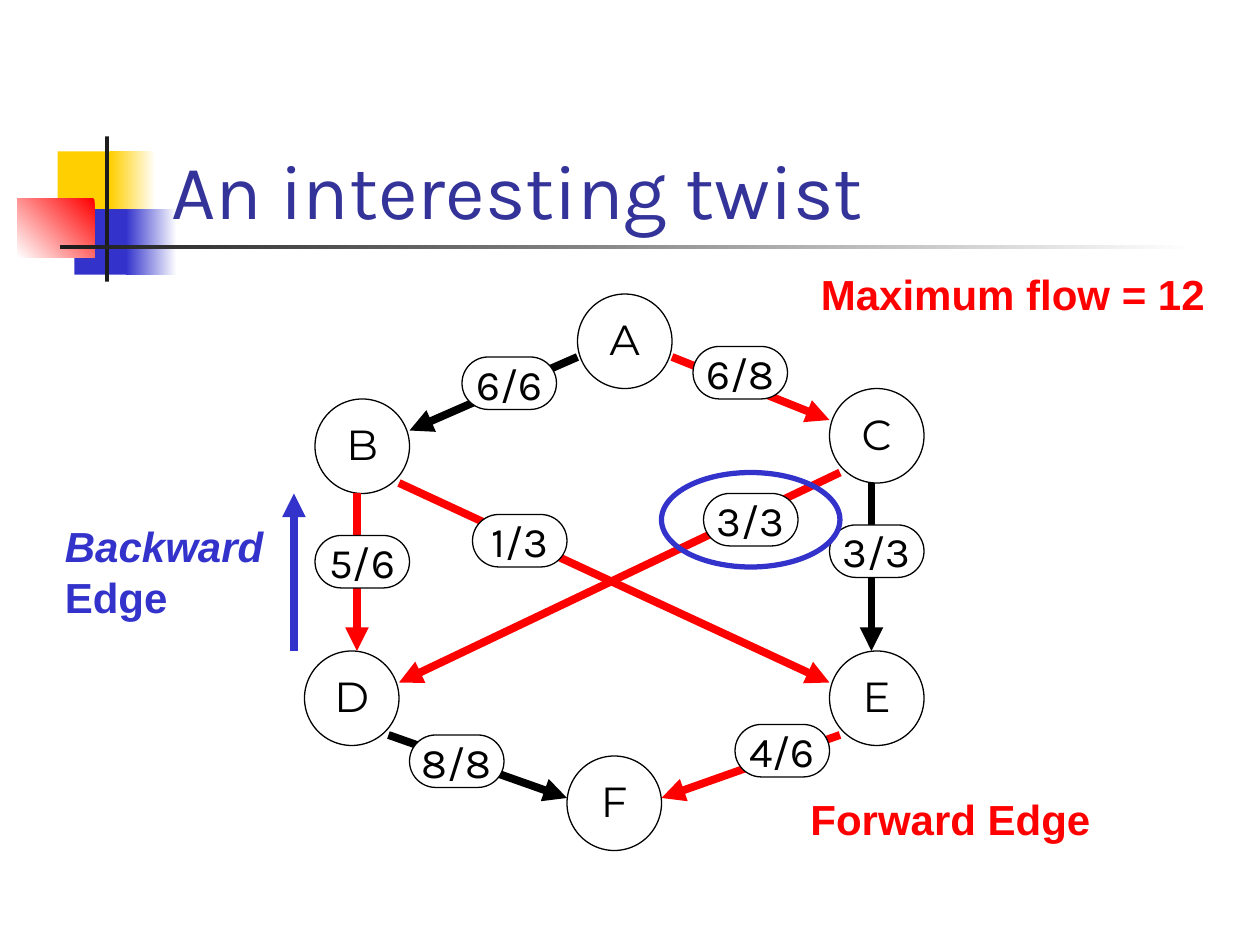
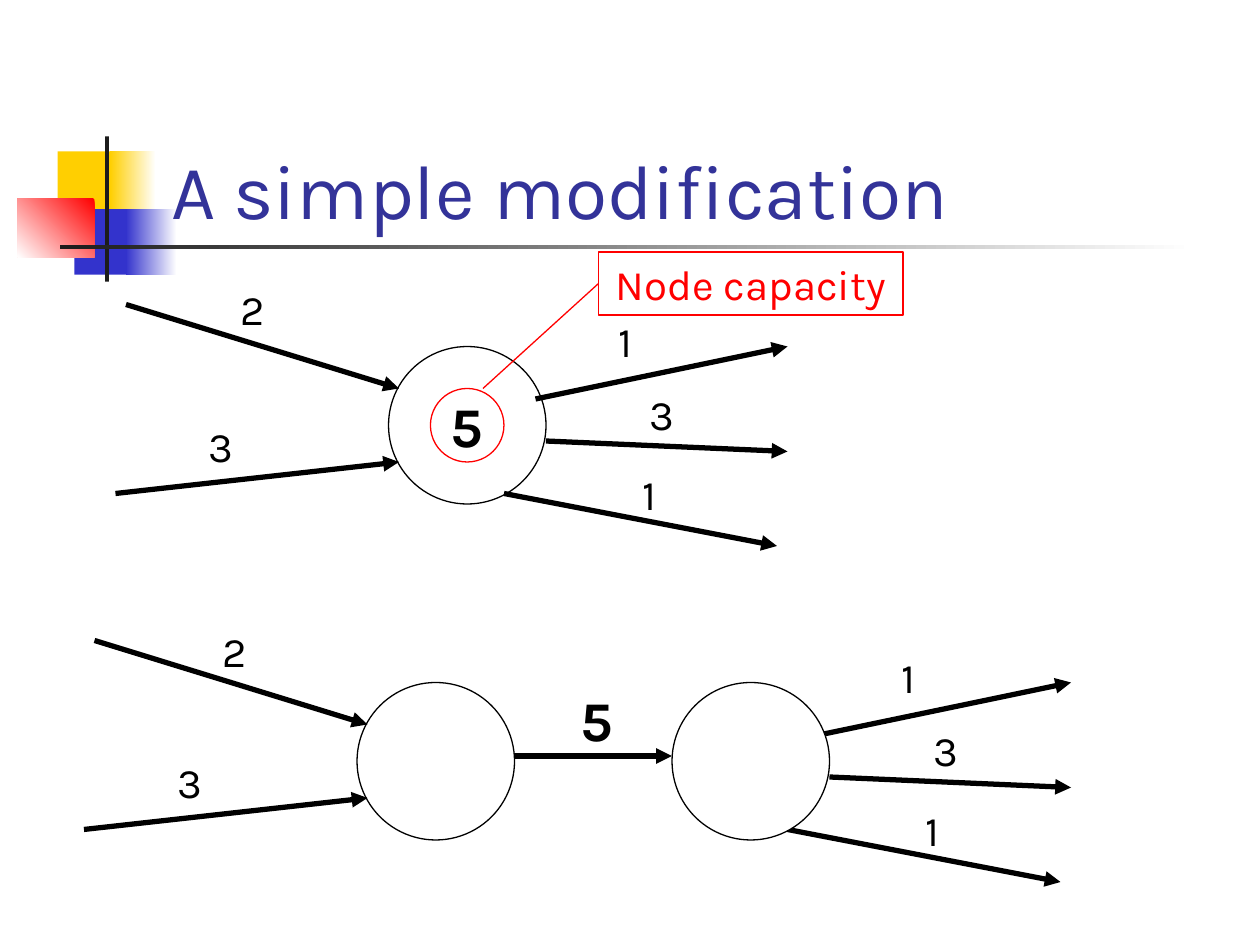
import lxml.etree
import pptx
import pptx.dml.color
import pptx.enum.shapes
import pptx.enum.text
import pptx.oxml.ns
import pptx.util

Pt = pptx.util.Pt
qn = pptx.oxml.ns.qn
SHAPE = pptx.enum.shapes.MSO_SHAPE
ANCHOR = pptx.enum.text.MSO_ANCHOR
ALIGN = pptx.enum.text.PP_ALIGN

COLORS = {
    "white": "FFFFFF", "black": "000000", "ink": "1C1C1C", "red": "FF0000",
    "blue": "3333CC", "yellow": "FFCF01", "title": "333399",
}
LABEL_FONT, NODE_FONT, NOTE_FONT = "Karla", "Montserrat", "Arial"
NODE, CIRCLE = 54, 90


def rgb(name):
    """Return the named palette colour."""
    return pptx.dml.color.RGBColor.from_string(COLORS[name])


def add_shape(s, kind, x, y, w, h, fill=None, line=None, weight=0.75):
    """Add a preset shape with an optional fill and outline."""
    sp = s.shapes.add_shape(kind, Pt(x), Pt(y), Pt(w), Pt(h))
    sp.shadow.inherit = False
    if fill:
        sp.fill.solid()
        sp.fill.fore_color.rgb = rgb(fill)
    else:
        sp.fill.background()
    if line:
        sp.line.color.rgb = rgb(line)
        sp.line.width = Pt(weight)
    else:
        sp.line.fill.background()
    return sp


def add_fade(s, x, y, w, h, start, end, angle=180):
    """Add a rectangle that fades from one colour to another."""
    sp = add_shape(s, SHAPE.RECTANGLE, x, y, w, h)
    sp.fill.gradient()
    sp.fill.gradient_angle = angle
    for stop, name in zip(sp.fill.gradient_stops, (start, end)):
        stop.color.rgb = rgb(name)


def style_run(r, size, color, font, bold=False, italic=False):
    """Set the font of a run."""
    r.font.name = font
    r.font.size = Pt(size)
    r.font.bold = bold
    r.font.italic = italic
    r.font.color.rgb = rgb(color)


def put_text(sp, text, size=24, color="black", font=LABEL_FONT, bold=False,
             align=ALIGN.CENTER, anchor=ANCHOR.MIDDLE, wrap=False):
    """Write one paragraph in a shape and return it."""
    tf = sp.text_frame
    tf.word_wrap = wrap
    tf.vertical_anchor = anchor
    p = tf.paragraphs[0]
    p.text = text
    p.alignment = align
    style_run(p.runs[0], size, color, font, bold)
    return p


def add_text(s, x, y, w, h, text, anchor=ANCHOR.TOP, **style):
    """Add a left-aligned text box and return its paragraph."""
    sp = s.shapes.add_textbox(Pt(x), Pt(y), Pt(w), Pt(h))
    return put_text(sp, text, align=ALIGN.LEFT, anchor=anchor, **style)


def add_line(s, x, y, ends, color="black", weight=3, arrow=True):
    """Add a straight line between two points given relative to x, y."""
    x1, y1, x2, y2 = ends
    sp = s.shapes.add_connector(pptx.enum.shapes.MSO_CONNECTOR.STRAIGHT,
                                Pt(x + x1), Pt(y + y1), Pt(x + x2), Pt(y + y2))
    sp.line.color.rgb = rgb(color)
    sp.line.width = Pt(weight)
    if arrow:
        lxml.etree.SubElement(sp.line._get_or_add_ln(), qn("a:tailEnd"), type="triangle")
    lxml.etree.SubElement(sp._element.spPr, qn("a:effectLst"))
    return sp


def add_header(s, x, y, title):
    """Draw the coloured blocks, the rules and the slide title."""
    add_shape(s, SHAPE.RECTANGLE, x + 23, y + 8.5, 34.5, 37.5, "yellow")
    add_fade(s, x + 53, y + 8.5, 26, 37.5, "white", "yellow")
    add_shape(s, SHAPE.RECTANGLE, x + 32.5, y + 41.5, 33, 37.5, "blue")
    add_fade(s, x + 62, y + 41.5, 29, 37.5, "white", "blue")
    add_fade(s, x, y + 35.5, 44, 33.5, "red", "white", 225)
    add_shape(s, SHAPE.RECTANGLE, x + 50, y, 2.25, 83, "ink")
    add_fade(s, x + 24.5, y + 62, 648, 2.5, "white", "ink")
    add_text(s, x + 80.7, y - 30, 613.5, 90, title, ANCHOR.BOTTOM,
             size=44, color="title", wrap=True)


def add_node(s, x, y, name):
    """Draw a graph node with its letter in outlined type."""
    sp = add_shape(s, SHAPE.OVAL, x, y, NODE, NODE, "white", "black")
    p = put_text(sp, name, font=NODE_FONT)
    p.line_spacing = 0.97
    ln = lxml.etree.Element(qn("a:ln"), w=str(Pt(0.75)))
    fill = lxml.etree.SubElement(ln, qn("a:solidFill"))
    lxml.etree.SubElement(fill, qn("a:srgbClr"), val=COLORS["black"])
    p.runs[0]._r.get_or_add_rPr().insert(0, ln)


def add_flow_graph(s, x, y):
    """Draw the flow network with its nodes, edges and flow labels."""
    nodes = {"F": (150, 264), "E": (300, 204), "D": (0, 204),
             "C": (300, 54), "B": (6, 60), "A": (156, 0)}
    edges = [
        ((210, 36, 300, 72), "red", "6/8", (222, 30)),
        ((156, 36, 60, 78), "black", "6/6", (90, 36)),
        ((306, 102, 54, 222), "red", "3/3", (228, 114)),
        ((54, 108, 300, 222), "red", "1/3", (96, 126)),
        ((324, 108, 324, 204), "black", "3/3", (300, 132)),
        ((30, 114, 30, 204), "red", "5/6", (6, 138)),
        ((306, 252, 204, 288), "red", "4/6", (246, 246)),
        ((48, 252, 150, 288), "black", "8/8", (60, 252)),
    ]
    for name, (dx, dy) in nodes.items():
        add_node(s, x + dx, y + dy, name)
    for ends, color, _, _ in edges:
        add_line(s, x, y, ends, color, 4.5)
    for _, _, flow, (dx, dy) in edges:
        sp = add_shape(s, SHAPE.ROUNDED_RECTANGLE, x + dx, y + dy, NODE, 30, "white", "black")
        sp.adjustments[0] = 0.5
        put_text(sp, flow)


def add_flow_notes(s, x, y):
    """Mark the backward edge, the forward edge and the maximum flow."""
    note = {"font": NOTE_FONT, "bold": True, "wrap": True}
    add_line(s, x, y, (-6, 204, -6, 114), "blue", 4.5)
    p = add_text(s, x - 144, y + 126, 132, 65, "Backward ", color="blue", **note)
    p.runs[0].font.italic = True
    r = p.add_run()
    r.text = "Edge"
    style_run(r, 24, "blue", NOTE_FONT, True)
    add_text(s, x + 282, y + 282, 192, 36, "Forward Edge", color="red", **note)
    add_text(s, x + 288, y - 18, 234, 36, "Maximum flow = 12", color="red", **note)
    add_shape(s, SHAPE.OVAL, x + 204, y + 102, 102, 54, line="blue", weight=3)


def add_circle(s, x, y):
    """Draw a large node circle."""
    return add_shape(s, SHAPE.OVAL, x, y, CIRCLE, CIRCLE, "white", "black")


def add_arrows(s, x, y, arrows):
    """Draw labelled arrows relative to a circle's box."""
    for ends, capacity, (dx, dy) in arrows:
        add_line(s, x, y, ends)
        add_text(s, x + dx, y + dy, 28, 36, capacity)


def add_incoming(s, x, y, top_label):
    """Draw the two edges that enter a circle."""
    add_arrows(s, x, y, [((-150, -24, 6, 24), "2", top_label),
                         ((-156, 84, 6, 66), "3", (-109.7, 38.7))])


def add_outgoing(s, x, y):
    """Draw the three edges that leave a circle."""
    add_arrows(s, x, y, [((84, 30, 228, 0), "1", (124.3, -21.5)),
                         ((90, 54, 228, 60), "3", (142.3, 20.6)),
                         ((66, 84, 222, 114), "1", (138, 66))])


def add_capacity_node(s, x, y):
    """Draw the node with a capacity and its callout."""
    put_text(add_circle(s, x, y), "5", 32, bold=True)
    add_incoming(s, x, y, (-91.7, -39.6))
    add_outgoing(s, x, y)
    add_shape(s, SHAPE.OVAL, x + 24, y + 24, 42, 42, line="red")
    callout = add_shape(s, SHAPE.RECTANGLE, x + 120, y - 54, 174, 36, line="red")
    put_text(callout, "Node capacity", color="red")
    leader = add_line(s, x, y, (54, 24, 120, -36), "red", 0.75, False)
    leader.end_connect(callout, 1)


def add_split_node(s, x, y):
    """Draw the node split in two and joined by a capacity edge."""
    second = x + 2 * CIRCLE
    add_circle(s, x, y)
    add_incoming(s, x, y, (-83.8, -35.8))
    add_outgoing(s, second, y)
    add_circle(s, second, y)
    add_line(s, x, y, (CIRCLE, 42, 2 * CIRCLE, 42))
    add_text(s, x + 120.7, y - 2, 32.4, 46, "5", size=32, bold=True)


def add_slide(prs, title):
    """Add a blank slide with the shared header."""
    s = prs.slides.add_slide(prs.slide_layouts[6])
    add_header(s, 10, 78, title)
    return s


def main():
    """Build both slides and save the file."""
    prs = pptx.Presentation()
    prs.slide_width, prs.slide_height = Pt(720), Pt(540)
    s = add_slide(prs, "An interesting twist")
    add_flow_graph(s, 174, 168)
    add_flow_notes(s, 174, 168)
    s = add_slide(prs, "A simple modification")
    add_capacity_node(s, 222, 198)
    add_split_node(s, 204, 390)
    prs.save("out.pptx")


if __name__ == "__main__":
    main()
